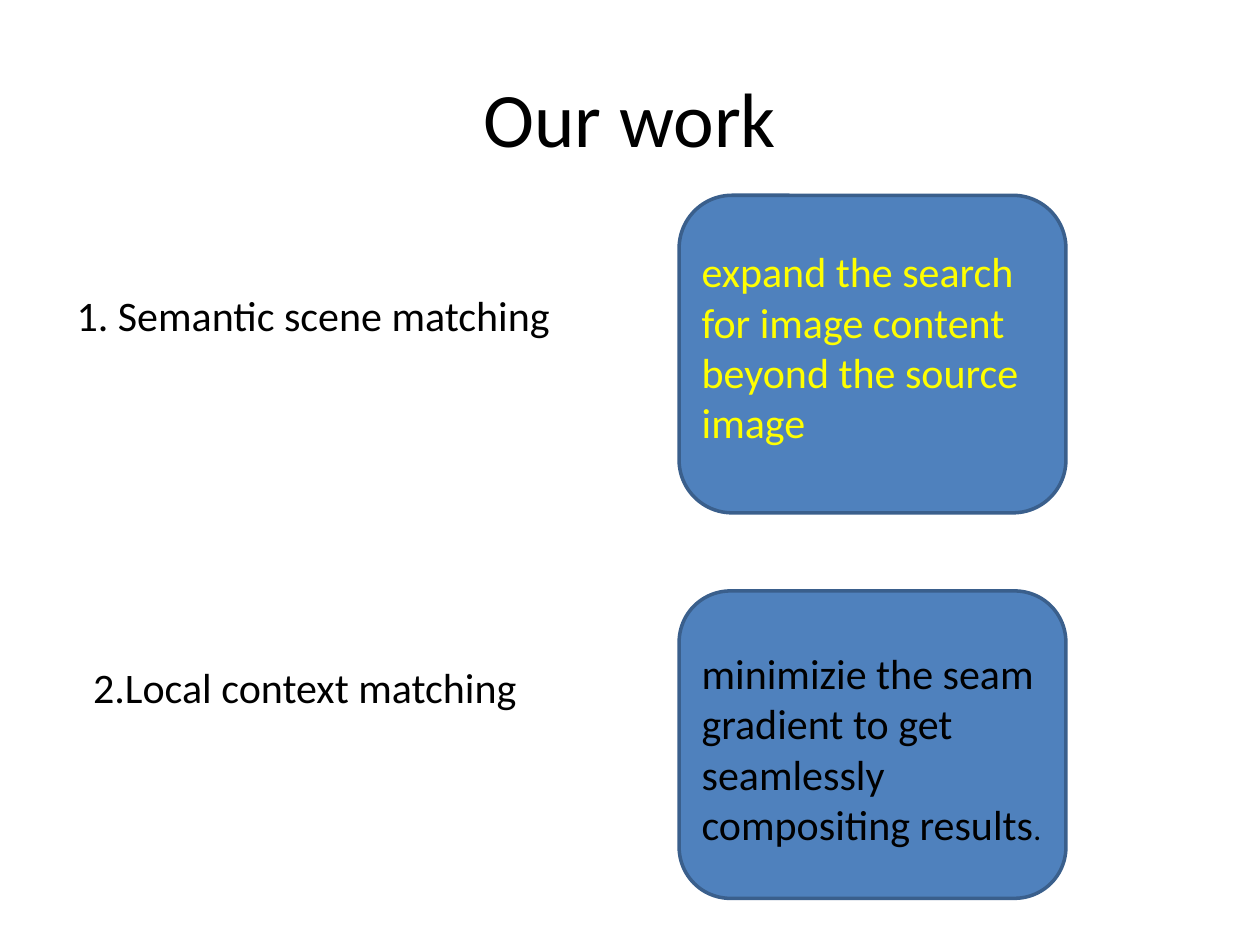
from pptx import Presentation
from pptx.dml.color import RGBColor
from pptx.enum.shapes import MSO_SHAPE
from pptx.enum.text import MSO_ANCHOR, MSO_AUTO_SIZE, PP_ALIGN
from pptx.util import Inches, Pt

ROUNDED = MSO_SHAPE.ROUNDED_RECTANGLE
MIDDLE = MSO_ANCHOR.MIDDLE
GROW = MSO_AUTO_SIZE.SHAPE_TO_FIT_TEXT
LEFT, CENTER = PP_ALIGN.LEFT, PP_ALIGN.CENTER

FONT = "Calibri"
COLORS = {"black": "000000", "yellow": "FFFF00", "card": "4F81BD", "edge": "3A5F8C"}
TITLE_ONLY = 5


def color(name):
    return RGBColor.from_string(COLORS[name])


def write(frame, text, size=24, ink="black", align=LEFT):
    """Add a formatted run to the frame's first paragraph."""
    paragraph = frame.paragraphs[0]
    paragraph.alignment = align
    run = paragraph.add_run()
    run.text = text
    run.font.name = FONT
    run.font.size = Pt(size)
    run.font.color.rgb = color(ink)


def place_title(slide, box, text):
    title = slide.shapes.title
    title.left, title.top, title.width, title.height = map(Inches, box)
    title.text_frame.vertical_anchor = MIDDLE
    write(title.text_frame, text, size=44, align=CENTER)


def add_label(shapes, box, text, **style):
    label = shapes.add_textbox(*map(Inches, box)).text_frame
    label.word_wrap = True
    label.auto_size = GROW
    write(label, text, **style)
    return label


def add_card(slide, box, text_box, text, **style):
    """Group a rounded card with its text; text_box is relative to the card."""
    group = slide.shapes.add_group_shape()
    card = group.shapes.add_shape(ROUNDED, *map(Inches, box))
    card.shadow.inherit = False
    card.fill.solid()
    card.fill.fore_color.rgb = color("card")
    card.line.color.rgb = color("edge")
    card.line.width = Pt(2)
    left, top, width, height = text_box
    inner = (box[0] + left, box[1] + top, width, height)
    return add_label(group.shapes, inner, text, **style)


def build_work_slide(prs):
    slide = prs.slides.add_slide(prs.slide_layouts[TITLE_ONLY])
    place_title(slide, (0.5, 0.3, 9, 1.25), "Our work")

    add_card(slide, (5.39, 1.55, 3.07, 2.52), (0.08, 0.35, 3.05, 1.58),
             "expand the search for image content beyond the source image",
             ink="yellow")
    local_goal = add_card(
        slide, (5.39, 4.69, 3.07, 2.44), (0.08, 0.4, 2.91, 1.49),
        "minimizie the seam gradient to get seamlessly compositing results")
    write(local_goal, ".", size=18)

    add_label(slide.shapes, (0.51, 2.25, 4.17, 0.5), "1. Semantic scene matching")
    add_label(slide.shapes, (0.64, 5.2, 3.91, 0.5), "2.Local context matching")


def main():
    prs = Presentation()
    prs.slide_width, prs.slide_height = Inches(10), Inches(7.5)
    build_work_slide(prs)
    prs.save("out.pptx")


if __name__ == "__main__":
    main()
